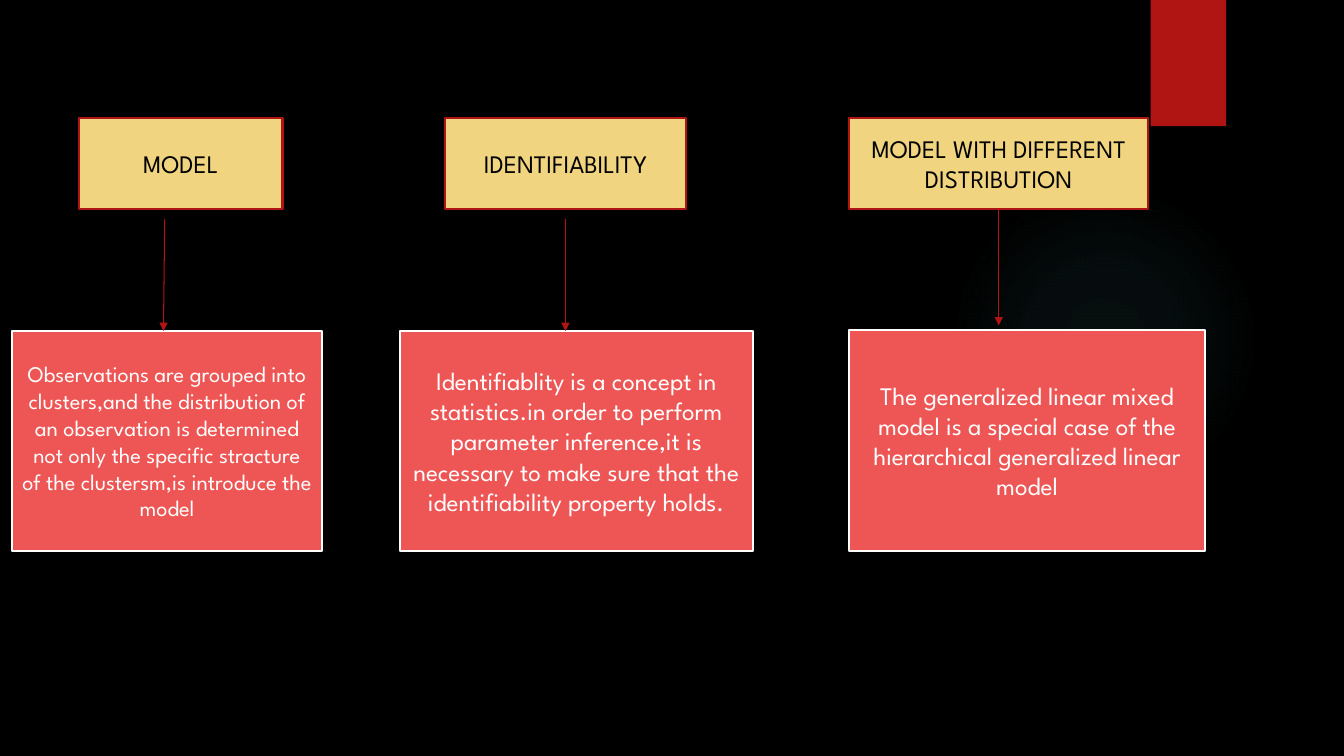
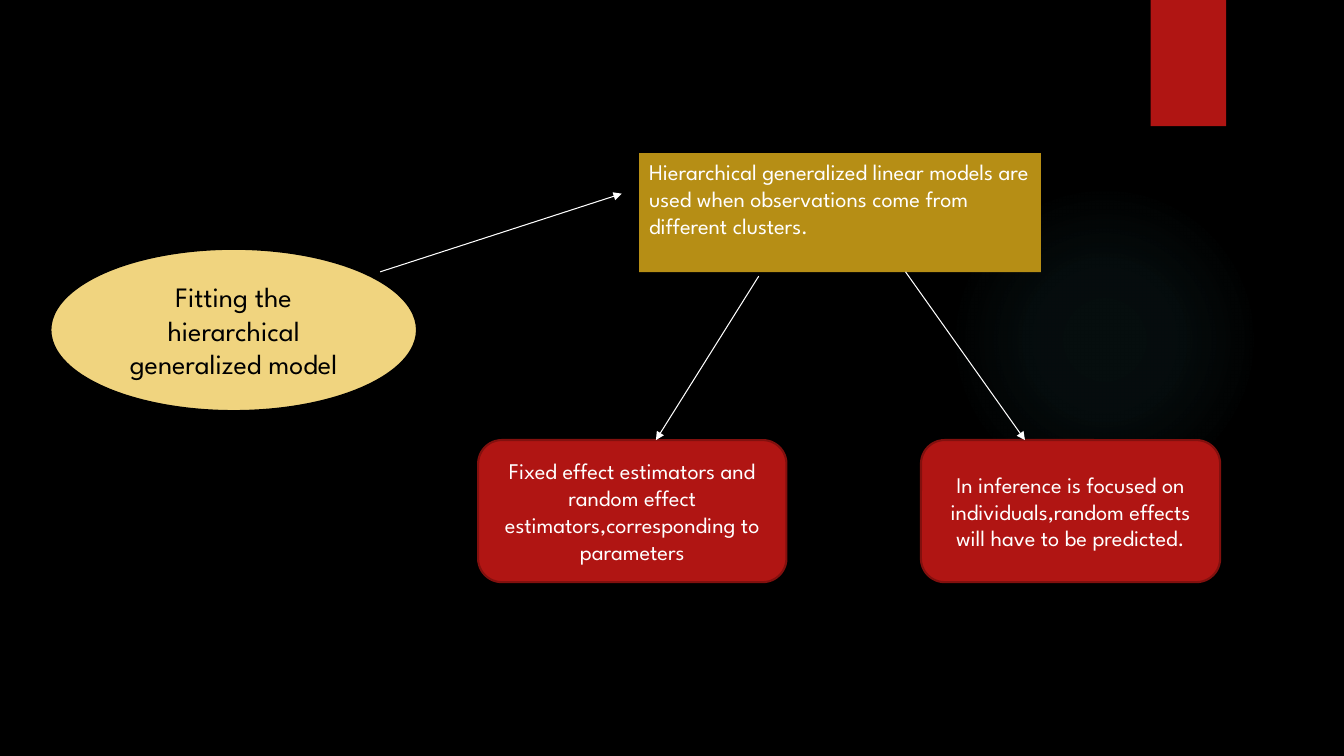
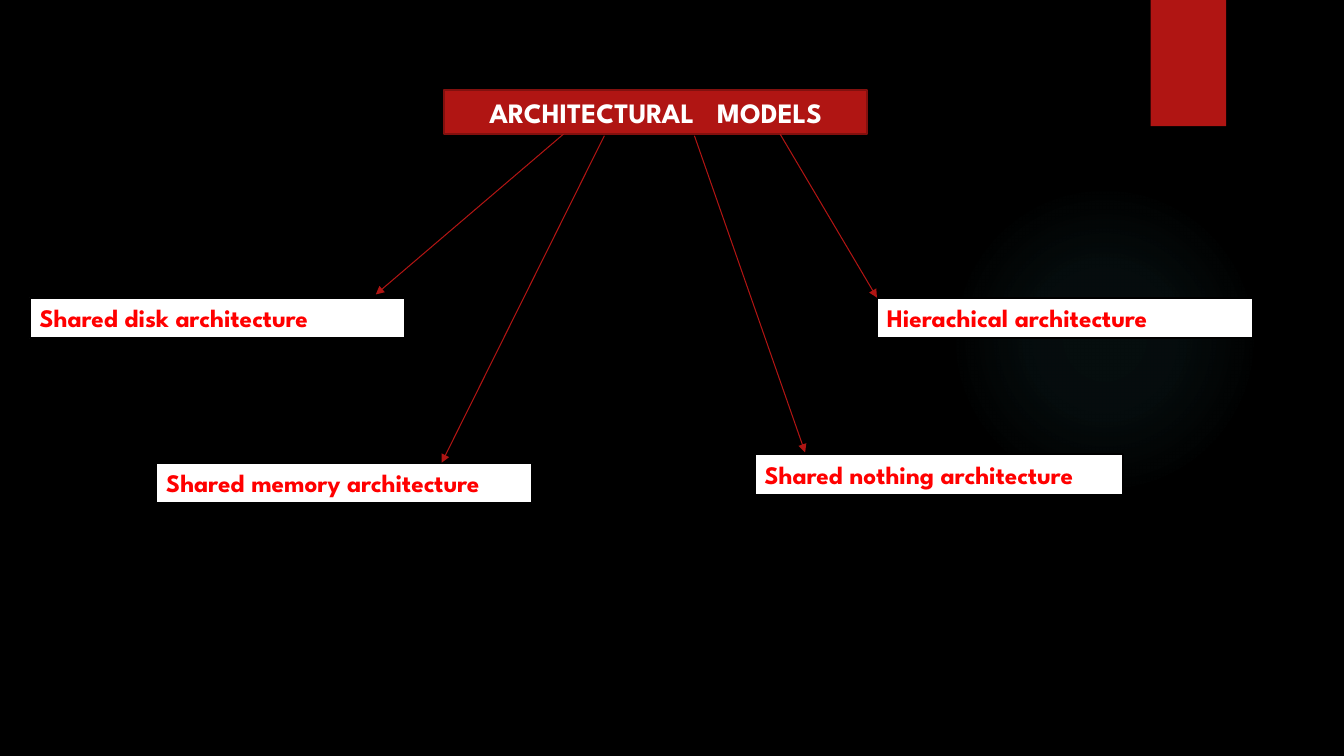
"""Build three dark diagram slides on hierarchical and architectural models."""
from dataclasses import dataclass
from typing import Optional

import pptx
import pptx.dml.color
import pptx.enum.shapes
import pptx.enum.text
import pptx.oxml
import pptx.oxml.ns
import pptx.presentation
import pptx.shapes.autoshape
import pptx.slide
import pptx.util

Cm = pptx.util.Cm
Pt = pptx.util.Pt
Shapes = pptx.enum.shapes.MSO_SHAPE
Anchor = pptx.enum.text.MSO_ANCHOR
Align = pptx.enum.text.PP_ALIGN
qn = pptx.oxml.ns.qn


@dataclass(frozen=True)
class Theme:
    """Colours, font and sizes shared by the deck."""

    font: str = "League Spartan"
    black: str = "000000"
    white: str = "FFFFFF"
    red: str = "B01513"
    dark_red: str = "82100E"
    coral: str = "ED5654"
    sand: str = "F0D47F"
    gold: str = "B68E15"
    label_red: str = "FF0000"
    glow: str = "50B9C1"
    small: int = 16
    normal: int = 18
    large: int = 20
    outline: float = 1.5
    arrow: float = 0.75


THEME = Theme()


@dataclass(frozen=True)
class Look:
    """Fill, outline and text format of one kind of box."""

    fill: str
    line: Optional[str] = None
    color: str = THEME.white
    shape: Shapes = Shapes.RECTANGLE
    size: int = THEME.normal
    bold: bool = False
    align: Align = Align.CENTER
    anchor: Anchor = Anchor.MIDDLE


@dataclass(frozen=True)
class Box:
    """Text box with its place in centimetres."""

    left: float
    top: float
    width: float
    height: float
    text: str
    look: Look


@dataclass(frozen=True)
class Arrow:
    """Arrow between two points in centimetres."""

    x1: float
    y1: float
    x2: float
    y2: float
    color: str = THEME.red


PLAIN_TAB = Look(THEME.red)
HEADING = Look(THEME.sand, THEME.red, THEME.black)
BODY = Look(THEME.coral, THEME.white)
SMALL_BODY = Look(THEME.coral, THEME.white, size=THEME.small)
TOPIC = Look(THEME.sand, THEME.black, THEME.black, Shapes.OVAL, THEME.large)
SUMMARY = Look(THEME.gold, size=THEME.small, align=Align.LEFT, anchor=Anchor.TOP)
OUTCOME = Look(THEME.red, THEME.dark_red, shape=Shapes.ROUNDED_RECTANGLE, size=THEME.small)
BANNER = Look(THEME.red, THEME.dark_red, size=THEME.large, bold=True, anchor=Anchor.TOP)
LABEL = Look(THEME.white, THEME.black, THEME.label_red, bold=True,
             align=Align.LEFT, anchor=Anchor.TOP)


def rgb(code: str) -> pptx.dml.color.RGBColor:
    """Turn a hex code into a colour."""
    return pptx.dml.color.RGBColor.from_string(code)


def apply(target: object, values: dict) -> None:
    """Set every named attribute on the target."""
    for name, value in values.items():
        setattr(target, name, value)


def format_box(box: pptx.shapes.autoshape.Shape, item: Box) -> None:
    """Place a shape or placeholder, then give it its look and text."""
    look = item.look
    apply(box, {name: Cm(getattr(item, name)) for name in ("left", "top", "width", "height")})
    box.shadow.inherit = False
    box.fill.solid()
    box.fill.fore_color.rgb = rgb(look.fill)
    if look.line:
        box.line.color.rgb = rgb(look.line)
        box.line.width = Pt(THEME.outline)
    else:
        box.line.fill.background()
    if not item.text:
        return
    frame = box.text_frame
    apply(frame, {"word_wrap": True, "vertical_anchor": look.anchor,
                  "auto_size": pptx.enum.text.MSO_AUTO_SIZE.NONE})
    para = frame.paragraphs[0]
    para.alignment = look.align
    add_span(para, item.text, look)


def add_span(para: object, text: str, look: Look) -> None:
    """Append one formatted run."""
    span = para.add_run()
    span.text = text
    apply(span.font, {"name": THEME.font, "size": Pt(look.size), "bold": look.bold})
    span.font.color.rgb = rgb(look.color)


def add_box(page: pptx.slide.Slide, item: Box) -> pptx.shapes.autoshape.Shape:
    """Draw one box."""
    box = page.shapes.add_shape(item.look.shape, 0, 0, Cm(1), Cm(1))
    format_box(box, item)
    return box


def add_arrow(page: pptx.slide.Slide, item: Arrow) -> None:
    """Draw one straight arrow with a triangle at its end."""
    arrow = page.shapes.add_connector(
        pptx.enum.shapes.MSO_CONNECTOR.STRAIGHT,
        Cm(item.x1), Cm(item.y1), Cm(item.x2), Cm(item.y2))
    arrow.line.color.rgb = rgb(item.color)
    arrow.line.width = Pt(THEME.arrow)
    properties = arrow.element.spPr
    head = pptx.oxml.parse_xml(f'<a:tailEnd {pptx.oxml.ns.nsdecls("a")} type="triangle"/>')
    properties.find(qn("a:ln")).append(head)
    properties.append(pptx.oxml.parse_xml(f'<a:effectLst {pptx.oxml.ns.nsdecls("a")}/>'))


def fill_with_glow(box: pptx.shapes.autoshape.Shape) -> None:
    """Replace the fill with a faint radial gradient."""
    stops = "".join(
        f'<a:gs pos="{place * 1000}"><a:srgbClr val="{THEME.glow}">'
        f'<a:alpha val="{opacity * 1000}"/></a:srgbClr></a:gs>'
        for place, opacity in ((0, 7), (36, 6), (69, 0)))
    gradient = pptx.oxml.parse_xml(
        f'<a:gradFill {pptx.oxml.ns.nsdecls("a")}><a:gsLst>{stops}</a:gsLst>'
        '<a:path path="circle"><a:fillToRect l="50000" t="50000" r="50000" b="50000"/>'
        '</a:path></a:gradFill>')
    properties = box.element.spPr
    properties.replace(properties.find(qn("a:solidFill")), gradient)


def decorate_master(deck: pptx.presentation.Presentation, page: pptx.slide.Slide) -> None:
    """Give the master its background, glow and corner tab."""
    master = deck.slide_master
    master.background.fill.solid()
    master.background.fill.fore_color.rgb = rgb(THEME.black)
    glow = add_box(page, Box(23.92, 4.65, 7.82, 7.82, "", Look(THEME.glow, shape=Shapes.OVAL)))
    fill_with_glow(glow)
    tab = add_box(page, Box(29, 0, 1.9, 3.18, "", PLAIN_TAB))
    for number, box in enumerate((glow, tab), start=20):
        box.element.nvSpPr.cNvPr.set("id", str(number))
        master.shapes.element.append(box.element)


def draw(page: pptx.slide.Slide, boxes: list[Box], arrows: list[Arrow]) -> None:
    """Draw the boxes and arrows of one diagram."""
    for item in boxes:
        add_box(page, item)
    for item in arrows:
        add_arrow(page, item)


def draw_concepts(page: pptx.slide.Slide) -> None:
    """Draw three headings, each pointing to its explanation."""
    top, height = 2.97, 2.3
    body_top, body_height = 8.34, 5.54
    draw(page, [
        Box(1.99, top, 5.13, height, "MODEL", HEADING),
        Box(11.22, top, 6.07, height, "IDENTIFIABILITY", HEADING),
        Box(21.4, top, 7.54, height, "MODEL WITH DIFFERENT DISTRIBUTION", HEADING),
        Box(0.3, body_top, 7.82, body_height,
            "Observations are grouped into clusters,and the distribution of an observation is "
            "determined not only the specific stracture of the clustersm,is introduce the model",
            SMALL_BODY),
        Box(10.08, body_top, 8.89, body_height,
            "Identifiablity is a concept in statistics.in order to perform parameter "
            "inference,it is necessary to make sure that the identifiability property holds.",
            BODY),
        Box(21.4, 8.31, 8.97, 5.58,
            "The generalized linear mixed model is a special case of the hierarchical "
            "generalized linear model", BODY),
    ], [
        Arrow(4.15, 5.53, 4.12, body_top),
        Arrow(14.25, 5.53, 14.25, body_top),
        Arrow(25.17, 5.27, 25.17, 8.2),
    ])


def draw_fitting(page: pptx.slide.Slide) -> None:
    """Draw how the hierarchical model is fitted."""
    top, height = 11.09, 3.58
    draw(page, [
        Box(1.27, 6.27, 9.24, 4.09, "Fitting the hierarchical generalized model", TOPIC),
        Box(16.11, 3.86, 10.12, 3,
            "Hierarchical generalized linear models are used when observations come from "
            "different clusters.", SUMMARY),
        Box(12.05, top, 7.77, height,
            "Fixed effect estimators and random effect estimators,corresponding to parameters",
            OUTCOME),
        Box(23.21, top, 7.54, height,
            "In inference is focused on individuals,random effects will have to be predicted.",
            OUTCOME),
    ], [
        Arrow(9.58, 6.85, 15.67, 4.88, THEME.white),
        Arrow(19.12, 6.96, 16.53, top, THEME.white),
        Arrow(22.82, 6.85, 25.83, top, THEME.white),
    ])


def draw_architectures(page: pptx.slide.Slide) -> None:
    """Draw the title and the four architectures below it."""
    title = page.shapes.title
    format_box(title, Box(11.2, 2.27, 10.65, 1.11, "ARCHITECTURAL", BANNER))
    para = title.text_frame.paragraphs[0]
    for text in (" ", "MODELS"):
        add_span(para, text, BANNER)
    title.element.findall(f".//{qn('a:rPr')}")[1].set("spc", "1100")
    height = 1.02
    draw(page, [
        Box(3.94, 11.66, 9.47, height, "Shared memory architecture", LABEL),
        Box(0.75, 7.5, 9.47, height, "Shared disk architecture", LABEL),
        Box(19.02, 11.45, 9.28, height, "Shared nothing architecture", LABEL),
        Box(22.1, 7.5, 9.47, height, "Hierachical architecture", LABEL),
    ], [
        Arrow(14.2, 3.38, 9.47, 7.42),
        Arrow(17.5, 3.42, 20.29, 11.4),
        Arrow(19.66, 3.38, 22.1, 7.5),
        Arrow(15.23, 3.42, 11.13, 11.66),
    ])


def main() -> None:
    """Build and save the deck."""
    deck = pptx.Presentation()
    apply(deck, {"slide_width": Cm(33.87), "slide_height": Cm(19.05)})
    title_only, blank = deck.slide_layouts[5], deck.slide_layouts[6]
    concepts = deck.slides.add_slide(blank)
    decorate_master(deck, concepts)
    draw_concepts(concepts)
    draw_fitting(deck.slides.add_slide(blank))
    draw_architectures(deck.slides.add_slide(title_only))
    deck.save("out.pptx")


if __name__ == "__main__":
    main()
